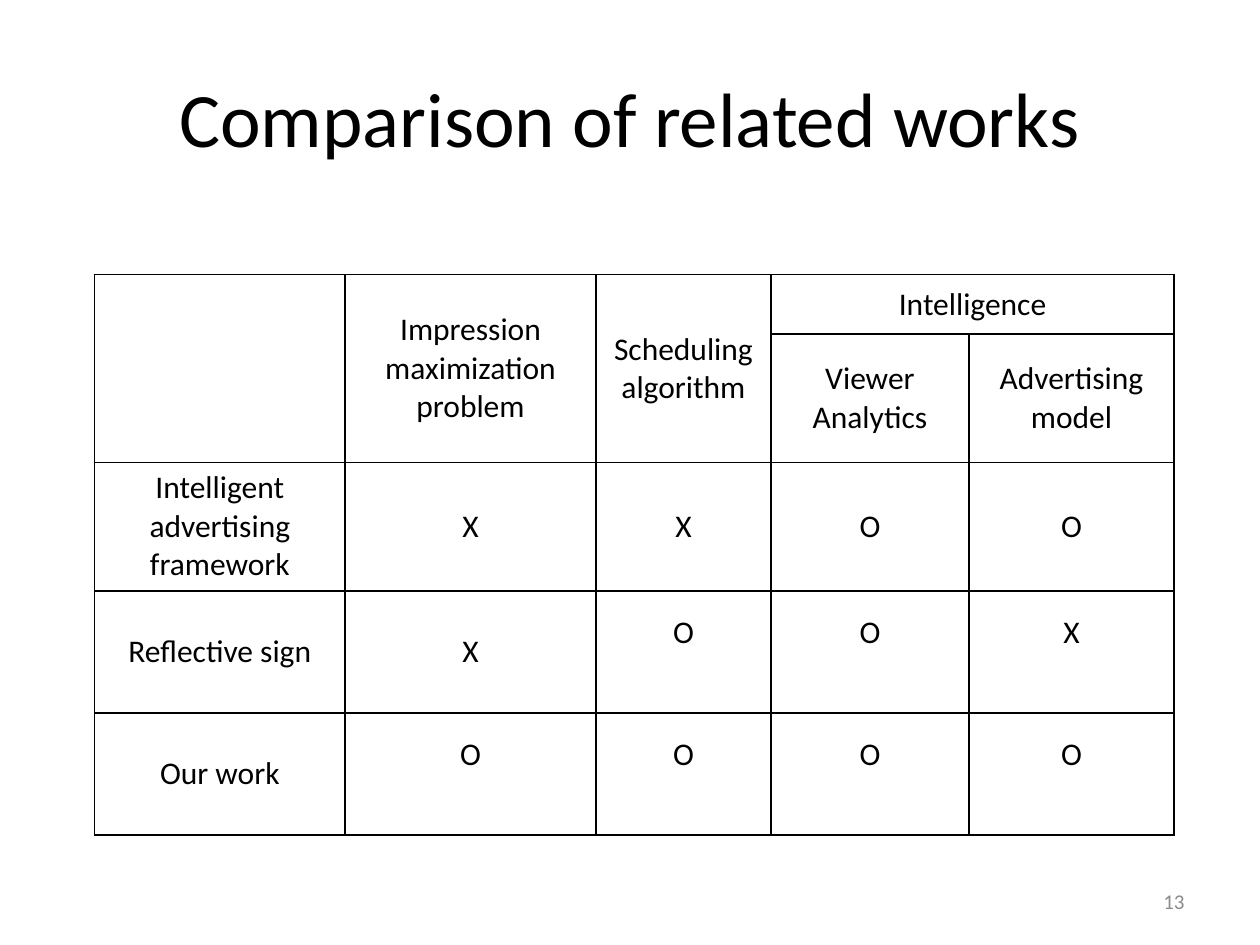
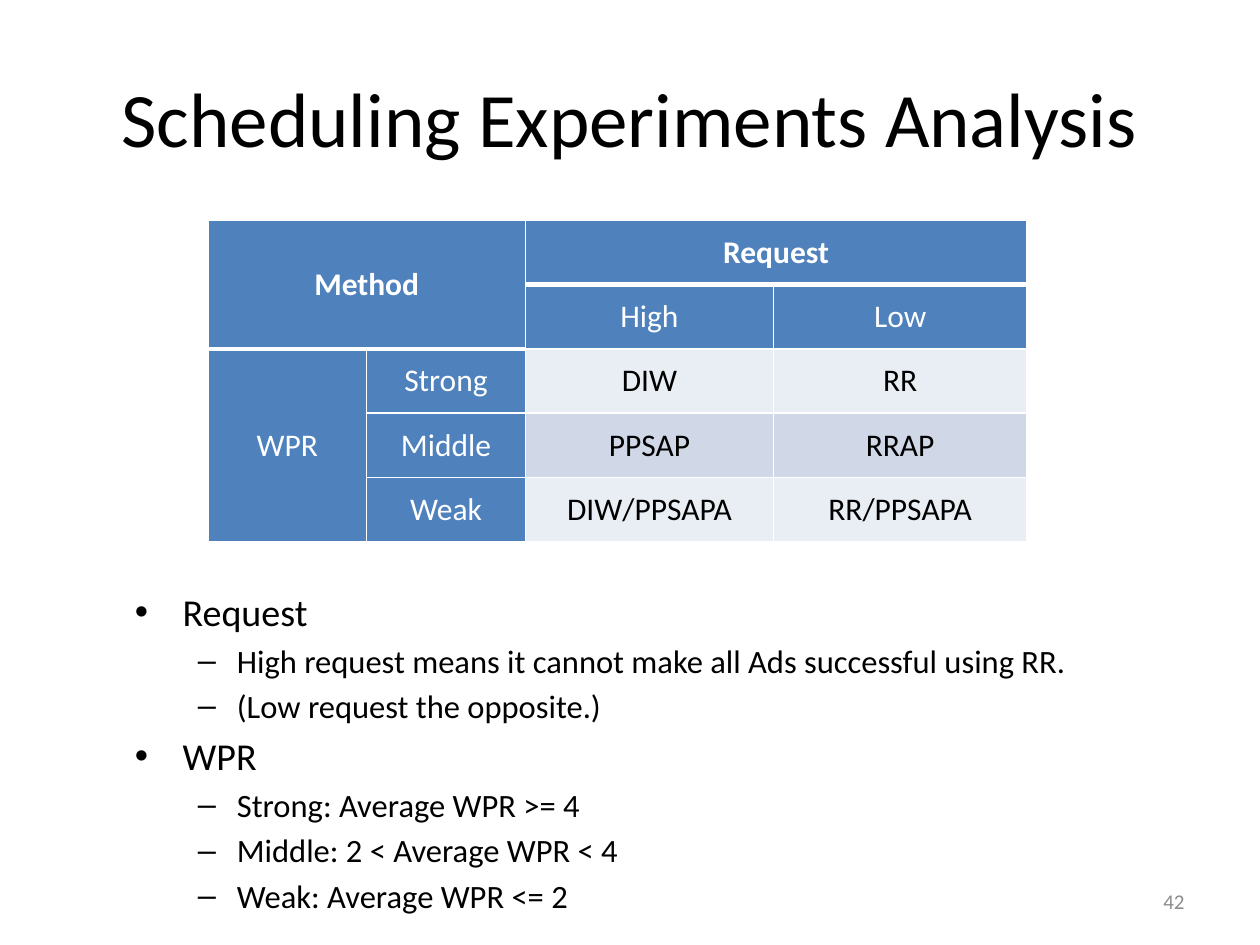
from dataclasses import dataclass, field
from itertools import product

from lxml.etree import SubElement
from pptx import Presentation
from pptx.dml.color import RGBColor
from pptx.enum.text import MSO_ANCHOR, MSO_AUTO_SIZE, PP_ALIGN
from pptx.oxml.ns import qn
from pptx.util import Inches, Pt

# Shared look
FONT = "Calibri"
HUES = {
    "ink": "000000",
    "paper": "FFFFFF",
    "gray": "8C8C8C",
    "blue": "4F81BD",
    "pale": "E9EDF4",
    "mist": "D0D8E8",
}
LIFT = 0.3  # extra bottom margin of raised marks

Spot = tuple[int, int]


@dataclass
class Grid:
    left: float
    top: float
    cols: list[float]
    rows: list[float]
    text: list[list[str]]
    spans: list[tuple[Spot, Spot]]
    line: str
    fills: dict[Spot, str] = field(default_factory=dict)
    bold: set[Spot] = field(default_factory=set)
    thick: set[Spot] = field(default_factory=set)  # cells with a heavy lower edge
    raised: set[Spot] = field(default_factory=set)


@dataclass
class Level:
    size: float
    left: float
    hang: float
    mark: str


@dataclass
class Item:
    text: str
    level: int = 0


LEVELS = [Level(21.7, 0.38, 0.38, "•"), Level(18.6, 0.81, 0.31, "–")]


def add_run(para, text: str, size: float, hue: str = "ink", bold: bool = False) -> None:
    run = para.add_run()
    run.text = text
    font = run.font
    font.name, font.size, font.bold = FONT, Pt(size), bold
    font.color.rgb = RGBColor.from_string(HUES[hue])


def place(shape, left: float, top: float, width: float, height: float) -> None:
    shape.left, shape.top = Inches(left), Inches(top)
    shape.width, shape.height = Inches(width), Inches(height)


def add_page(deck, layout: int, title: str, number: int):
    """Add a slide with its title and page number."""
    page = deck.slides.add_slide(deck.slide_layouts[layout])
    head = page.shapes.title
    place(head, 0.5, 0.3, 9, 1.25)
    head.text_frame.vertical_anchor = MSO_ANCHOR.MIDDLE
    para = head.text_frame.paragraphs[0]
    para.alignment = PP_ALIGN.CENTER
    add_run(para, title, 44)

    foot = page.shapes.add_textbox(Inches(7.17), Inches(6.95), Inches(2.33), Inches(0.4))
    foot.text_frame.word_wrap = True
    foot.text_frame.vertical_anchor = MSO_ANCHOR.MIDDLE
    para = foot.text_frame.paragraphs[0]
    para.alignment = PP_ALIGN.RIGHT
    add_run(para, str(number), 12, "gray")
    return page


def add_edges(cell, hue: str, top: float, bottom: float) -> None:
    props = cell._tc.get_or_add_tcPr()
    for tag, width in (("lnL", 1), ("lnR", 1), ("lnT", top), ("lnB", bottom)):
        edge = SubElement(props, qn(f"a:{tag}"), w=str(Pt(width)))
        fill = SubElement(edge, qn("a:solidFill"))
        SubElement(fill, qn("a:srgbClr"), val=HUES[hue])


def add_grid(page, grid: Grid) -> None:
    frame = page.shapes.add_table(
        len(grid.rows), len(grid.cols), Inches(grid.left), Inches(grid.top),
        Inches(sum(grid.cols)), Inches(sum(grid.rows)))
    table = frame.table
    table.first_row = table.horz_banding = False
    for col, width in zip(table.columns, grid.cols):
        col.width = Inches(width)
    for row, height in zip(table.rows, grid.rows):
        row.height = Inches(height)
    for first, last in grid.spans:
        table.cell(*first).merge(table.cell(*last))

    for spot in product(range(len(grid.rows)), range(len(grid.cols))):
        row, col = spot
        cell = table.cell(row, col)
        top = 3 if (row - 1, col) in grid.thick else 1
        add_edges(cell, grid.line, top, 3 if spot in grid.thick else 1)
        hue = grid.fills.get(spot)
        if hue:
            cell.fill.solid()
            cell.fill.fore_color.rgb = RGBColor.from_string(HUES[hue])
        else:
            cell.fill.background()
        cell.vertical_anchor = MSO_ANCHOR.MIDDLE
        if spot in grid.raised:
            cell.margin_bottom = Inches(0.05 + LIFT)
        if not grid.text[row][col]:
            continue
        for num, line in enumerate(grid.text[row][col].split("\n")):
            body = cell.text_frame
            para = body.add_paragraph() if num else body.paragraphs[0]
            para.alignment = PP_ALIGN.CENTER
            add_run(para, line, 18, "paper" if hue == "blue" else "ink", spot in grid.bold)


def add_list(page, items: list[Item]) -> None:
    body = page.placeholders[1]
    place(body, 0.97, 4.62, 8.91, 2.42)
    frame = body.text_frame
    frame.word_wrap = True
    frame.auto_size = MSO_AUTO_SIZE.NONE
    frame.vertical_anchor = MSO_ANCHOR.TOP
    for num, item in enumerate(items):
        level = LEVELS[item.level]
        para = frame.add_paragraph() if num else frame.paragraphs[0]
        para.level = item.level
        para.space_before = Pt(0.2 * level.size if num else 0)
        props = para._p.get_or_add_pPr()
        props.set("marL", str(Inches(level.left)))
        props.set("indent", str(-Inches(level.hang)))
        SubElement(props, qn("a:buFont"), typeface="Arial")
        SubElement(props, qn("a:buChar"), char=level.mark)
        add_run(para, item.text, level.size)


# Related works
WORKS = Grid(
    left=0.75, top=2.18,
    cols=[1.99, 1.99, 1.39, 1.57, 1.63],
    rows=[0.47, 1.02, 1.02, 0.97, 0.97],
    text=[
        ["", "Impression maximization\nproblem", "Scheduling\nalgorithm", "Intelligence", ""],
        ["", "", "", "Viewer Analytics", "Advertising model"],
        ["Intelligent advertising framework", "X", "X", "O", "O"],
        ["Reflective sign", "X", "O", "O", "X"],
        ["Our work", "O", "O", "O", "O"],
    ],
    spans=[((0, col), (1, col)) for col in range(3)] + [((0, 3), (0, 4))],
    line="ink",
    raised={(3, col) for col in range(2, 5)} | {(4, col) for col in range(1, 5)},
)

# Scheduling methods
METHODS = Grid(
    left=1.65, top=1.75,
    cols=[1.26, 1.26, 1.97, 2.01],
    rows=[0.51] * 5,
    text=[
        ["Method", "", "Request", ""],
        ["", "", "High", "Low"],
        ["WPR", "Strong", "DIW", "RR"],
        ["", "Middle", "PPSAP", "RRAP"],
        ["", "Weak", "DIW/PPSAPA", "RR/PPSAPA"],
    ],
    spans=[((0, 0), (1, 1)), ((0, 2), (0, 3)), ((2, 0), (4, 0))],
    line="paper",
    fills={
        (row, col): "blue" if row < 2 or col < 2 else ("pale", "mist")[row % 2]
        for row, col in product(range(5), range(4))
    },
    bold={(0, 0), (0, 2)},
    thick={(0, col) for col in range(4)} | {(1, 0), (1, 1)},
)

NOTES = [
    Item("Request"),
    Item("High request means it cannot make all Ads successful using RR.", 1),
    Item("(Low request the opposite.)", 1),
    Item("WPR"),
    Item("Strong: Average WPR >= 4", 1),
    Item("Middle: 2 < Average WPR < 4", 1),
    Item("Weak: Average WPR <= 2", 1),
]


def main() -> None:
    deck = Presentation()
    deck.slide_width, deck.slide_height = Inches(10), Inches(7.5)

    page = add_page(deck, 5, "Comparison of related works", 13)
    add_grid(page, WORKS)

    page = add_page(deck, 1, "Scheduling Experiments Analysis", 42)
    add_list(page, NOTES)
    add_grid(page, METHODS)

    deck.save("out.pptx")


if __name__ == "__main__":
    main()
